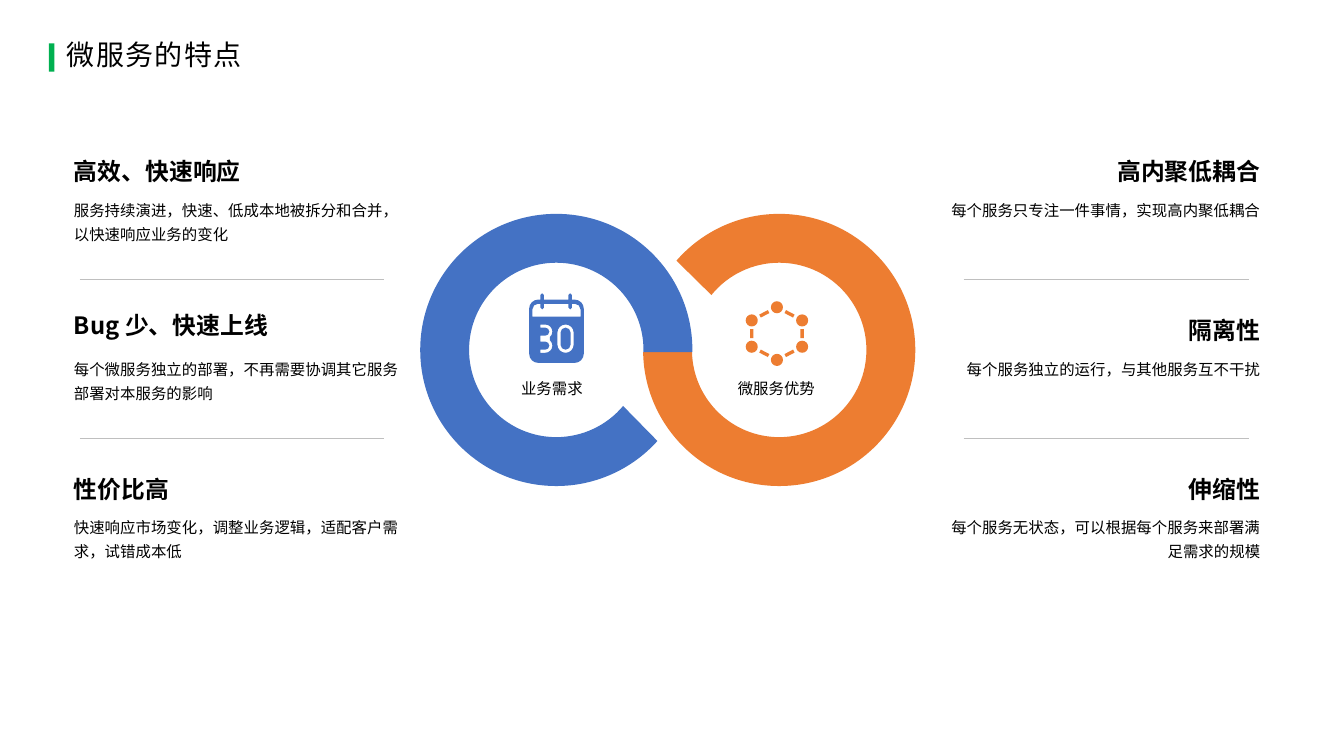
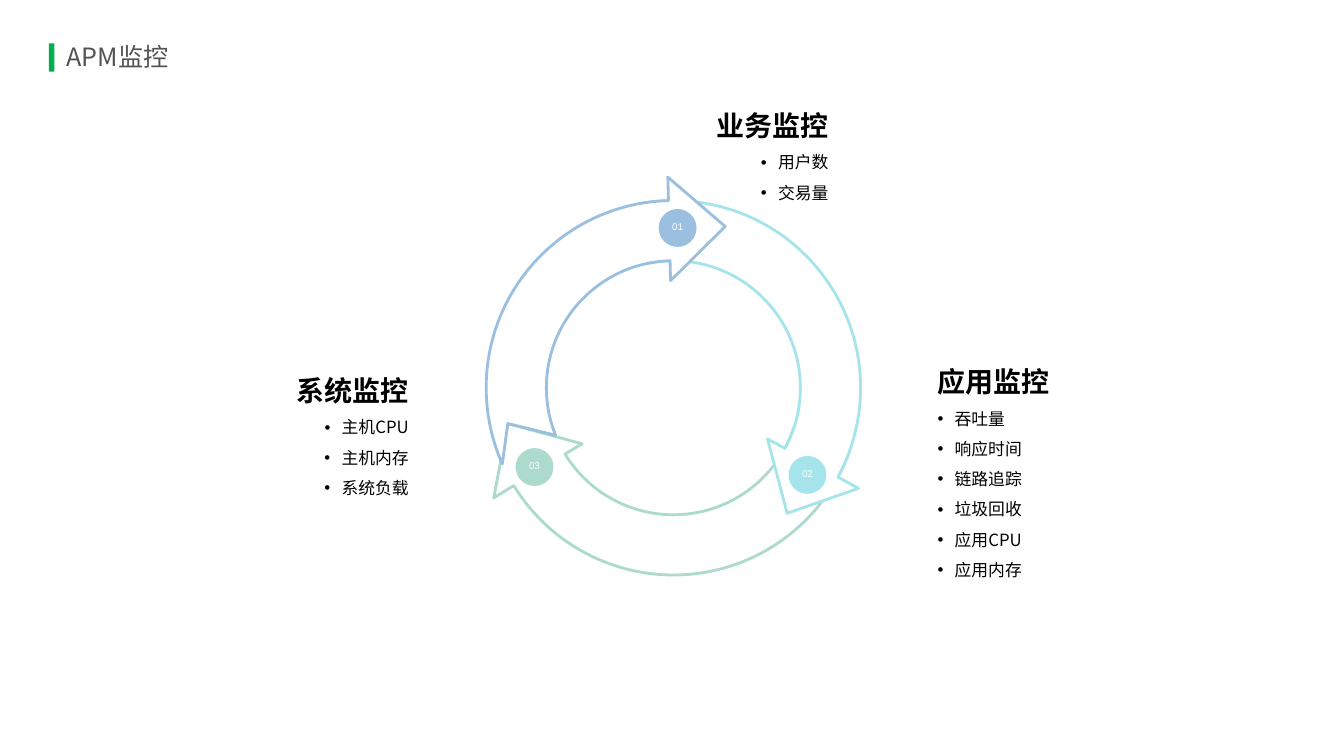
import math

from lxml import etree
from pptx import Presentation
from pptx.dml.color import RGBColor
from pptx.enum import shapes, text as t
from pptx.oxml import ns
from pptx.util import Pt

BLACK = RGBColor(0x00, 0x00, 0x00)
WHITE = RGBColor(0xFF, 0xFF, 0xFF)
GRAY = RGBColor(0x53, 0x53, 0x53)
RULE = RGBColor(0xBF, 0xBF, 0xBF)
ACCENT = RGBColor(0x00, 0xB0, 0x50)
BLUE = RGBColor(0x44, 0x72, 0xC4)
ORANGE = RGBColor(0xED, 0x7D, 0x31)
SKY = RGBColor(0x9B, 0xC0, 0xDF)
CYAN = RGBColor(0xA5, 0xE4, 0xEA)
MINT = RGBColor(0xAC, 0xDA, 0xCC)

FONT = "Noto Sans CJK SC"
LEFT, CENTER, RIGHT = t.PP_ALIGN.LEFT, t.PP_ALIGN.CENTER, t.PP_ALIGN.RIGHT
TOP, MIDDLE, BOTTOM = t.MSO_ANCHOR.TOP, t.MSO_ANCHOR.MIDDLE, t.MSO_ANCHOR.BOTTOM

CYCLE_CENTER = (481, 277)
CYCLE_OUTER, CYCLE_INNER = 133.7, 90.7
WING_OUTER, WING_INNER = 150.5, 76.5
TIP_RADIUS, TIP_ANGLE = 121, 19.3
BADGE_RADIUS = 114.2


def write(para, text, size=11, color=BLACK, bold=False, font=FONT,
          align=LEFT, spacing=None, tracking=None, bullet=False):
    para.alignment = align
    if spacing:
        para.line_spacing = spacing
    if bullet:
        props = para._p.get_or_add_pPr()
        props.set("marL", str(Pt(12.24)))
        props.set("indent", str(-Pt(12.24)))
        etree.SubElement(props, ns.qn("a:buFont")).set("typeface", "Arial")
        etree.SubElement(props, ns.qn("a:buChar")).set("char", "•")
    span = para.add_run()
    span.text = text
    span.font.size = Pt(size)
    span.font.bold = bold
    span.font.color.rgb = color
    span.font.name = font
    props = span._r.get_or_add_rPr()
    etree.SubElement(props, ns.qn("a:ea")).set("typeface", font)
    if tracking:
        props.set("spc", str(tracking * 100))


def add_box(page, left, top, width, height, inset=3.6, anchor=TOP):
    box = page.shapes.add_textbox(Pt(left), Pt(top), Pt(width), Pt(height))
    frame = box.text_frame
    frame.word_wrap = True
    frame.vertical_anchor = anchor
    frame.margin_left = frame.margin_right = Pt(inset)
    frame.margin_top = frame.margin_bottom = Pt(inset)
    return frame


def add_text(page, text, left, top, width, height, inset=3.6, anchor=TOP, **style):
    frame = add_box(page, left, top, width, height, inset, anchor)
    write(frame.paragraphs[0], text, **style)


def paint(shape, fill, line=None):
    shape.shadow.inherit = False
    shape.fill.solid()
    shape.fill.fore_color.rgb = fill
    if line is None:
        shape.line.fill.background()
    else:
        shape.line.color.rgb = line
        shape.line.width = Pt(2)


def add_rule(page, left, right, y):
    rule = page.shapes.add_connector(
        shapes.MSO_CONNECTOR.STRAIGHT, Pt(left), Pt(y), Pt(right), Pt(y))
    rule.line.color.rgb = RULE
    rule.line.width = Pt(0.25)
    etree.SubElement(rule._element.spPr, ns.qn("a:effectLst"))


def polar(center, radius, angle):
    turn = math.radians(angle)
    return (center[0] + radius * math.cos(turn),
            center[1] + radius * math.sin(turn))


def arc(center, radius, start, end):
    low, high = sorted((start, end))
    angles = [low, *(q for q in range(-360, 721, 90) if low < q < high), high]
    if end < start:
        angles.reverse()
    steps = [polar(center, radius, start)]
    for a, b in zip(angles, angles[1:]):
        pull = radius * 4 / 3 * math.tan(math.radians(b - a) / 4)
        first, last = polar(center, radius, a), polar(center, radius, b)
        steps.append((polar(first, pull, a + 90), polar(last, -pull, b + 90), last))
    return steps


def anchor_of(step):
    x, y = step[-1] if len(step) == 3 else step
    return Pt(x), Pt(y)


def add_outline(page, *contours, **look):
    builder = page.shapes.build_freeform(*anchor_of(contours[0][0]))
    for i, contour in enumerate(contours):
        start, *rest = [anchor_of(step) for step in contour]
        if i:
            builder.move_to(*start)
        builder.add_line_segments(rest, close=True)
    shape = builder.convert_to_shape()
    paint(shape, **look)
    nodes = list(shape._element.iter(ns.qn("a:moveTo"), ns.qn("a:lnTo")))
    for node, step in zip(nodes, [step for contour in contours for step in contour]):
        if len(step) == 3:
            curve = etree.Element(ns.qn("a:cubicBezTo"))
            for x, y in step:
                point = etree.SubElement(curve, ns.qn("a:pt"))
                point.set("x", str(Pt(x) - shape.left))
                point.set("y", str(Pt(y) - shape.top))
            node.getparent().replace(node, curve)


def add_title(page, text, **style):
    bar = page.shapes.add_shape(
        shapes.MSO_SHAPE.RECTANGLE, Pt(34.9), Pt(31), Pt(4), Pt(20.2))
    paint(bar, ACCENT)
    add_text(page, text, 44, 16.3, 538.6, 47.5, anchor=MIDDLE, **style)


def add_feature_column(page, left, width, rule_ends, align, features):
    for i, (heading, detail, lift) in enumerate(features):
        top = 106 + 113.3 * i
        add_text(page, heading, left, top - lift, width, 30.2, anchor=BOTTOM,
                 size=17, bold=True, align=align)
        add_text(page, detail, left, top + 30.3, width, 44,
                 align=align, spacing=1.3)
        if i:
            add_rule(page, *rule_ends, top - 19.6)


def add_open_ring(page, center, outer_span, inner_span, color):
    add_outline(page, arc(center, 97.2, *outer_span) + arc(center, 62.3, *inner_span),
                fill=color)


def capsule(left, top, right, bottom):
    radius = (right - left) / 2
    middle = left + radius
    return (arc((middle, top + radius), radius, 180, 360)
            + arc((middle, bottom - radius), radius, 0, 180))


def add_calendar(page):
    def top_edge(radius, left, right, top, post_y, post_end):
        edge = arc((left + radius, top + radius), radius, 180, 270)
        for x in (387.3, 407.3):
            edge += [(x - 1.3, top), *arc((x, post_y), 1.3, 180, post_end), (x + 1.3, top)]
        return edge + arc((right - radius, top + radius), radius, 270, 360)

    body = (top_edge(6.5, 378, 417, 214, 210.8, 360)
            + arc((410.5, 252.7), 6.5, 0, 90) + arc((384.5, 252.7), 6.5, 90, 180))
    header = top_edge(4, 380.3, 414.7, 217, 219.7, 0) + [(414.7, 226.1), (380.3, 226.1)]
    upper, lower = (389.5, 236.9), (389.5, 246.9)
    three = [
        (386, 231.8), *arc(upper, 5.1, -90, 50), *arc(lower, 5.1, -50, 90),
        (386, 252), (386, 249.8), *arc(lower, 2.9, 90, -90),
        (386, 244), (386, 239.8), *arc(upper, 2.9, 90, -90), (386, 234),
    ]
    add_outline(page, body, header, three, capsule(398.2, 231.8, 409.8, 252),
                capsule(400.4, 234, 407.6, 249.8), fill=BLUE)


def add_hexagon_network(page):
    nodes = [(555 + 20.8 * math.cos(math.radians(angle)),
              238.3 + 18.8 * math.sin(math.radians(angle)))
             for angle in range(-90, 270, 60)]
    contours = []
    for (x, y), (next_x, next_y) in zip(nodes, nodes[1:] + nodes[:1]):
        contours.append(arc((x, y), 4.3, 0, 360))
        dx, dy = next_x - x, next_y - y
        side = 1.2 / math.hypot(dx, dy)
        contours.append([
            (x + dx * part - dy * shift, y + dy * part + dx * shift)
            for part, shift in ((0.33, side), (0.67, side), (0.67, -side), (0.33, -side))])
    add_outline(page, *contours, fill=ORANGE)


def add_cycle_arrow(page, head, outer_tail, inner_tail, color, notch=()):
    def spot(radius, angle):
        return polar(CYCLE_CENTER, radius, angle)

    add_outline(page, [
        *arc(CYCLE_CENTER, CYCLE_OUTER, outer_tail, head),
        spot(WING_OUTER, head),
        spot(TIP_RADIUS, head + TIP_ANGLE),
        spot(WING_INNER, head),
        *arc(CYCLE_CENTER, CYCLE_INNER, head, inner_tail),
        *notch,
    ], fill=WHITE, line=color)


def add_badge(page, label, angle, color):
    x, y = polar(CYCLE_CENTER, BADGE_RADIUS, angle)
    add_outline(page, arc((x, y), 13.5, 0, 360), fill=color)
    add_text(page, label, x - 9.35, y - 5.4, 18.7, 10, inset=0, anchor=MIDDLE,
             size=7, color=WHITE, font="Arial", align=CENTER, spacing=0.8)


def add_monitor_list(page, heading, items, left, top, align):
    frame = add_box(page, left, top, 185, 33 + 21.6 * len(items), inset=0)
    write(frame.paragraphs[0], heading, size=20, bold=True, align=align, spacing=1.2)
    for item in items:
        write(frame.add_paragraph(), item, size=12, align=align,
              spacing=1.5, bullet=True)


def build_features(page):
    add_title(page, "微服务的特点", size=20, spacing=0.9, tracking=1)
    add_open_ring(page, (556.6, 250), (221, 539.1), (538.6, 219), ORANGE)
    add_open_ring(page, (397.4, 250), (42, 360.9), (361.4, 40), BLUE)
    add_calendar(page)
    add_feature_column(page, 49.2, 244, (57, 274.3), LEFT, [
        ("高效、快速响应", "服务持续演进，快速、低成本地被拆分和合并，以快速响应业务的变化", 0),
        ("Bug 少、快速上线", "每个微服务独立的部署，不再需要协调其它服务部署对本服务的影响", 3.6),
        ("性价比高", "快速响应市场变化，调整业务逻辑，适配客户需求，试错成本低", 0),
    ])
    add_feature_column(page, 675.7, 228.2, (688.3, 892), RIGHT, [
        ("高内聚低耦合", "每个服务只专注一件事情，实现高内聚低耦合", 0),
        ("隔离性", "每个服务独立的运行，与其他服务互不干扰", 0),
        ("伸缩性", "每个服务无状态，可以根据每个服务来部署满足需求的规模", 0),
    ])
    for label, left in (("业务需求", 368.6), ("微服务优势", 523.4)):
        add_text(page, label, left, 263.5, 63, 44, spacing=1.3)
    add_hexagon_network(page)


def build_monitoring(page):
    add_title(page, "APM监控", size=18, color=GRAY)
    add_monitor_list(page, "系统监控", ["主机CPU", "主机内存", "系统负载"],
                     107, 262, RIGHT)
    mint_tip = polar(CYCLE_CENTER, TIP_RADIUS, 148.5 + TIP_ANGLE)
    add_cycle_arrow(page, 148.5, 18.5, 18.5, MINT)
    add_cycle_arrow(page, 388.5, 258, 258, CYAN)
    add_cycle_arrow(page, 268.5, 156, 158, SKY, notch=[mint_tip])
    for label, angle, color in (("01", 271.5, SKY), ("02", 33, CYAN), ("03", 150.3, MINT)):
        add_badge(page, label, angle, color)
    add_monitor_list(page, "应用监控",
                     ["吞吐量", "响应时间", "链路追踪", "垃圾回收", "应用CPU", "应用内存"],
                     669.7, 255.8, LEFT)
    add_monitor_list(page, "业务监控", ["用户数", "交易量"], 406.8, 72.7, RIGHT)


def main():
    deck = Presentation()
    deck.slide_width, deck.slide_height = Pt(960), Pt(540)
    for build in (build_features, build_monitoring):
        build(deck.slides.add_slide(deck.slide_layouts[6]))
    deck.save("out.pptx")


if __name__ == "__main__":
    main()
